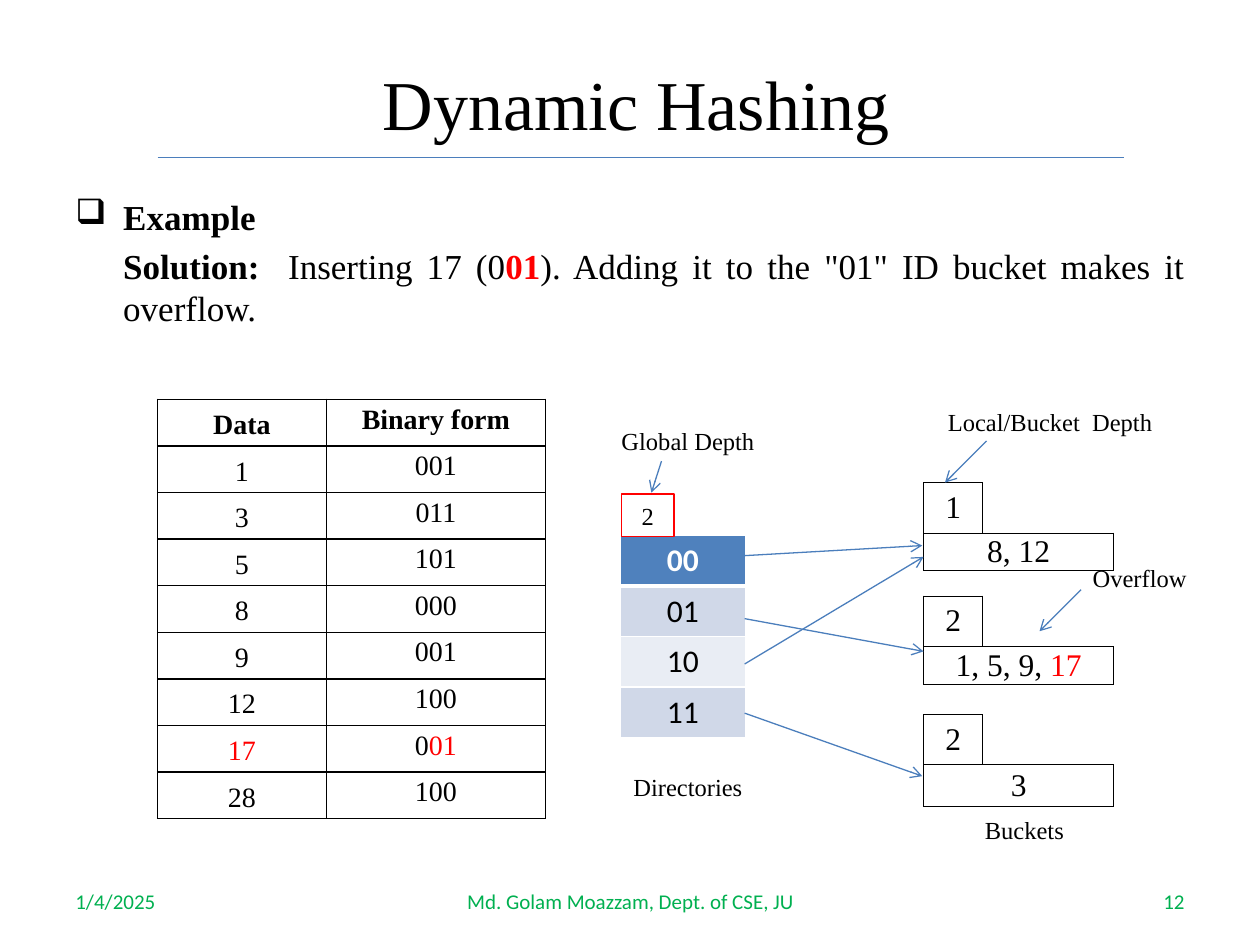
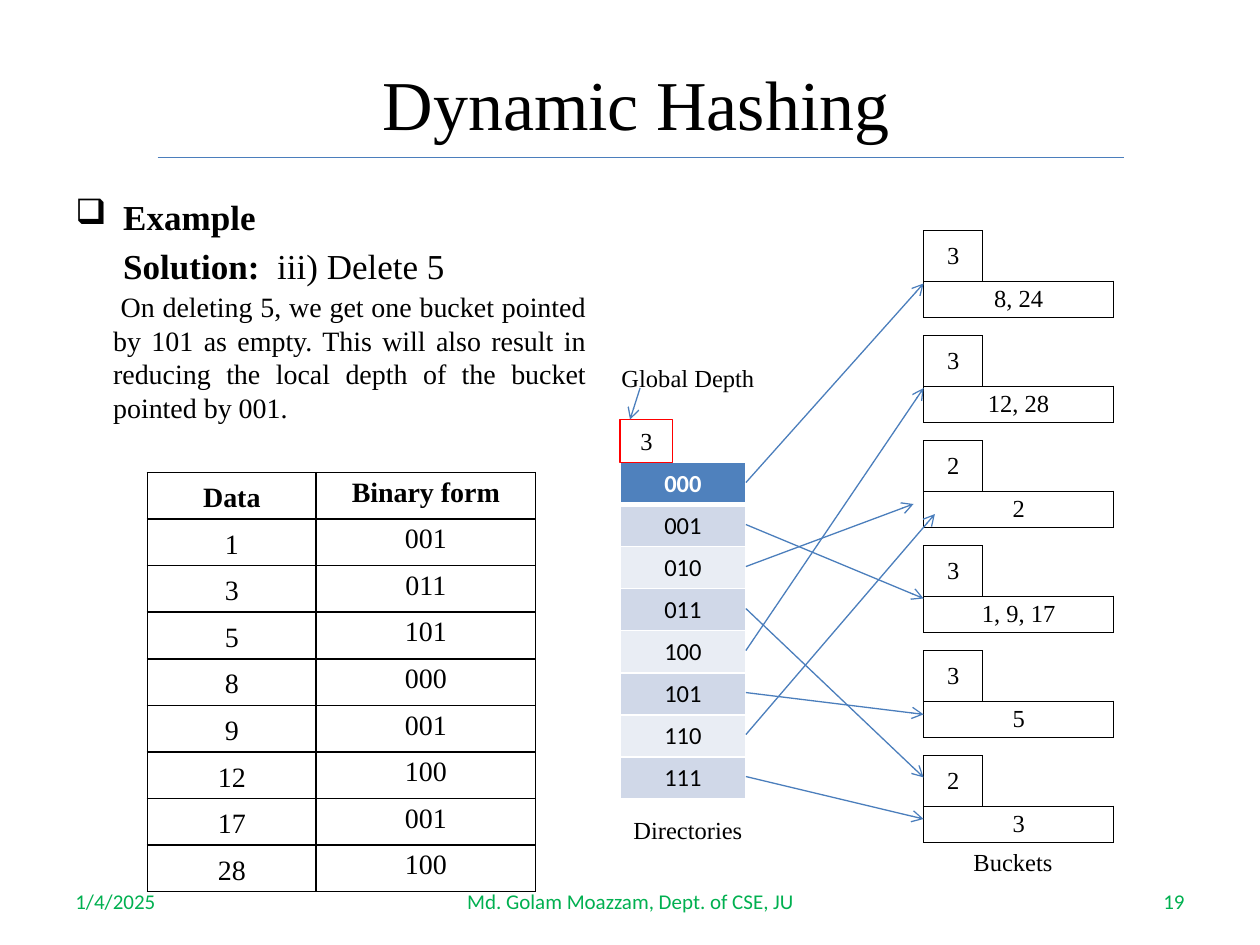
from lxml import etree
from pptx import Presentation
from pptx.dml.color import RGBColor
from pptx.enum.shapes import MSO_CONNECTOR, MSO_SHAPE
from pptx.enum.text import MSO_ANCHOR, PP_ALIGN
from pptx.oxml.ns import qn
from pptx.util import Inches, Pt

LEFT, MID, RIGHT, FULL = PP_ALIGN.LEFT, PP_ALIGN.CENTER, PP_ALIGN.RIGHT, PP_ALIGN.JUSTIFY
TOP, CENTRE = MSO_ANCHOR.TOP, MSO_ANCHOR.MIDDLE
STRAIGHT, RECT = MSO_CONNECTOR.STRAIGHT, MSO_SHAPE.RECTANGLE
TITLE_ONLY = 5
SERIF, SANS = "Times New Roman", "Calibri"
COLORS = {
    "black": "000000", "white": "FFFFFF", "red": "FF0000", "green": "00B050",
    "line": "4B7EBC", "head": "4F81BD", "odd": "D0D8E8", "even": "E9EDF4",
}
DATA = [
    ("Data", "Binary form"), ("1", "001"), ("3", "011"), ("5", "101"),
    ("8", "000"), ("9", "001"), ("12", "100"), ("17", "001"), ("28", "100"),
]


def rgb(name):
    return RGBColor.from_string(COLORS[name])


def edge(cell, **sides):
    """Draw cell sides L, R, T, B, each (colour, points) or None for no line."""
    props = cell._tc.get_or_add_tcPr()
    for side in "LRTB":
        look = sides.get(side)
        line = etree.SubElement(props, qn(f"a:ln{side}"))
        if look is None:
            etree.SubElement(line, qn("a:noFill"))
            continue
        line.set("w", str(Pt(look[1])))
        fill = etree.SubElement(line, qn("a:solidFill"))
        etree.SubElement(fill, qn("a:srgbClr")).set("val", COLORS[look[0]])


def indent(para, left, first=0, mark=None):
    props = para._p.get_or_add_pPr()
    props.set("marL", str(Inches(left)))
    props.set("indent", str(Inches(first)))
    if mark:
        etree.SubElement(props, qn("a:buChar")).set("char", mark)
    else:
        etree.SubElement(props, qn("a:buNone"))


class Deck:
    def __init__(self):
        self.prs = Presentation()
        self.prs.slide_width, self.prs.slide_height = Inches(10), Inches(7.5)
        self.slide = None

    def page(self, number):
        """Start a slide with the shared title, rule and footers."""
        self.slide = self.prs.slides.add_slide(self.prs.slide_layouts[TITLE_ONLY])
        title = self.slide.shapes.title
        title.left, title.top = Inches(1.33), Inches(0.38)
        title.width, title.height = Inches(7.58), Inches(0.87)
        frame = title.text_frame
        frame.margin_right = Inches(0.24)
        frame.vertical_anchor = CENTRE
        self.fill(frame.paragraphs[0], "Dynamic Hashing", 40)
        self.line((1.25, 1.25), (8.92, 1.25))
        for left, width, text, align in (
            (0.5, 2.33, "1/4/2025", LEFT),
            (3.42, 3.17, "Md. Golam Moazzam, Dept. of CSE, JU", MID),
            (7.17, 2.33, number, RIGHT),
        ):
            frame = self.box(left, 6.95, width, 0.4)
            frame.vertical_anchor = CENTRE
            self.fill(frame.paragraphs[0], text, 12, align, SANS, "green")

    def fill(self, para, parts, size, align=MID, font=SERIF, color="black", bold=False):
        """Fill a paragraph with a string or with (text, colour, bold) parts."""
        if isinstance(parts, str):
            parts = [(parts, color, bold)]
        para.alignment = align
        for text, tint, thick in parts:
            run = para.add_run()
            run.text = text
            run.font.size, run.font.name = Pt(size), font
            run.font.bold = thick
            run.font.color.rgb = rgb(tint)

    def box(self, left, top, width, height):
        area = [Inches(n) for n in (left, top, width, height)]
        frame = self.slide.shapes.add_textbox(*area).text_frame
        frame.word_wrap = True
        return frame

    def label(self, left, top, text, width=1.42):
        self.fill(self.box(left, top, width, 0.34).paragraphs[0], text, 14)

    def line(self, start, end, arrow=False):
        ends = [Inches(n) for n in (*start, *end)]
        link = self.slide.shapes.add_connector(STRAIGHT, *ends)
        link.line.color.rgb = rgb("line")
        link.line.width = Pt(0.75)
        if arrow:
            tail = etree.SubElement(link.line._get_or_add_ln(), qn("a:tailEnd"))
            tail.set("type", "arrow")
        etree.SubElement(link._element.spPr, qn("a:effectLst"))

    def arrows(self, pairs):
        for start, end in pairs:
            self.line(start, end, arrow=True)

    def depth(self, left, top, text):
        """Draw the global depth box."""
        area = [Inches(n) for n in (left, top, 0.42, 0.34)]
        rect = self.slide.shapes.add_shape(RECT, *area)
        rect.shadow.inherit = False
        rect.fill.background()
        rect.line.color.rgb = rgb("red")
        rect.line.width = Pt(0.75)
        rect.text_frame.vertical_anchor = CENTRE
        self.fill(rect.text_frame.paragraphs[0], text, 14)

    def grid(self, left, top, cols, rows, high):
        """Add a plain table with the given column widths and equal rows."""
        area = [Inches(n) for n in (left, top, sum(cols), rows * high)]
        table = self.slide.shapes.add_table(rows, len(cols), *area).table
        table.first_row = table.horz_banding = False
        for col, width in zip(table.columns, cols):
            col.width = Inches(width)
        for row in table.rows:
            row.height = Inches(high)
        return table

    def cell(self, cell, parts, size, inset=0.0, anchor=CENTRE, **look):
        cell.margin_left = cell.margin_right = Inches(inset)
        cell.margin_top = cell.margin_bottom = 0
        cell.vertical_anchor = anchor
        self.fill(cell.text_frame.paragraphs[0], parts, size, **look)

    def data(self, left, top, marked=None):
        """Add the table of keys; the row of the marked key turns red."""
        table = self.grid(left, top, (1.34, 1.74), len(DATA), 0.37)
        side = ("black", 1)
        for i, (key, code) in enumerate(DATA):
            tint = "black"
            if key == marked:
                tint = "red"
                code = [(code[0], "black", False), (code[1:], "red", False)]
            for j, (text, anchor) in enumerate(((key, CENTRE), (code, TOP))):
                cell = table.cell(i, j)
                edge(cell, L=side, R=side, T=side, B=side)
                cell.fill.background()
                self.cell(cell, text, 16, 0.07, anchor, color=tint, bold=i == 0)
                cell.text_frame.paragraphs[0].line_spacing = 1.15

    def index(self, top, bits, high, size):
        """Add the directory of all codes with this many bits."""
        count = 2 ** bits
        table = self.grid(4.92, top, (1,), count, high)
        thin, thick = ("white", 1), ("white", 3)
        for i in range(count):
            cell = table.cell(i, 0)
            edge(cell, L=thin, R=thin, T=thick if i == 1 else thin,
                 B=thick if i == 0 else thin)
            cell.fill.solid()
            cell.fill.fore_color.rgb = rgb("head" if i == 0 else "odd" if i % 2 else "even")
            self.cell(cell, f"{i:0{bits}b}", size, 0.1, TOP, font=SANS,
                      color="black" if i else "white", bold=i == 0)
            cell.margin_top = cell.margin_bottom = Inches(0.05)

    def bucket(self, top, depth, keys, size, high=0.29):
        table = self.grid(7.33, top, (0.47, 0.52, 0.52), 2, high)
        side = ("black", 0.5)
        for j in range(3):
            tab, body = table.cell(0, j), table.cell(1, j)
            if j == 0:
                edge(tab, L=side, R=side, T=side, B=side)
            else:
                edge(tab, L=side if j == 1 else None, B=side)
            edge(body, L=side, R=side, T=side, B=side)
            tab.fill.background()
            body.fill.background()
        table.cell(1, 0).merge(table.cell(1, 2))
        self.cell(table.cell(0, 0), depth, size)
        self.cell(table.cell(1, 0), keys, size)

    def lead(self, parts):
        """Write the example heading and the solution line."""
        frame = self.box(0.5, 1.5, 9, 4.95)
        head, body = frame.paragraphs[0], frame.add_paragraph()
        indent(head, 0.38, -0.38, "❑")
        self.fill(head, "Example", 20, FULL, bold=True)
        indent(body, 0.38)
        body.space_before = Pt(4)
        self.fill(body, [("Solution:  ", "black", True), *parts], 20, FULL)

    def note(self, text):
        para = self.box(0.42, 2.25, 4.33, 1.67).paragraphs[0]
        indent(para, 0.38, 0.06)
        self.fill(para, text, 16, FULL)


def insert(deck):
    deck.page("12")
    deck.lead([
        ("Inserting 17 (0", "black", False), ("01", "red", True),
        ('). Adding it to the "01" ID bucket makes it overflow.', "black", False),
    ])
    deck.data(1.25, 3.17, "17")
    deck.index(4.25, 2, 0.4, 18)
    deck.depth(4.93, 3.92, "2")
    deck.bucket(3.83, "1", "8, 12", 18)
    deck.bucket(4.73, "2", [("1, 5, 9, ", "black", False), ("17", "red", False)], 18, 0.3)
    deck.bucket(5.67, "2", "3", 18, 0.33)
    deck.label(4.75, 3.33, "Global Depth")
    deck.label(4.75, 6.08, "Directories")
    deck.label(7.42, 6.42, "Buckets")
    deck.label(7.42, 3.18, "Local/Bucket  Depth", 1.83)
    deck.label(8.42, 4.42, "Overflow", 1.25)
    deck.arrows([
        ((7.83, 3.5), (7.5, 3.83)), ((5.25, 3.66), (5.17, 3.91)),
        ((8.58, 4.68), (8.25, 5.01)), ((5.91, 4.41), (7.32, 4.33)),
        ((5.91, 4.91), (7.33, 5.17)), ((5.91, 5.27), (7.33, 4.42)),
        ((5.91, 5.66), (7.32, 6.16)),
    ])


def delete(deck):
    deck.page("19")
    deck.lead([("iii) Delete 5", "black", False)])
    deck.note("On deleting 5, we get one bucket pointed by 101 as empty. This will also "
              "result in reducing the local depth of the bucket pointed by 001.")
    deck.data(1.17, 3.75)
    deck.index(3.67, 3, 0.33, 14)
    deck.depth(4.92, 3.33, "3")
    buckets = [("3", "8, 24"), ("3", "12, 28"), ("2", "2"),
               ("3", "1, 9, 17"), ("3", "5"), ("2", "3")]
    for i, (depth, keys) in enumerate(buckets):
        deck.bucket(1.83 + i * 2.5 / 3, depth, keys, 14)
    deck.label(4.75, 2.83, "Global Depth")
    deck.label(4.75, 6.42, "Directories")
    deck.label(7.33, 6.67, "Buckets")
    ends = [(7.33, 2.25), (7.33, 4.75), (7.25, 4), (7.33, 6.17),
            (7.33, 3.08), (7.33, 5.67), (7.42, 4.08), (7.33, 6.5)]
    deck.arrows([((5.08, 3.08), (5, 3.33))])
    deck.arrows([((5.92, 3.83 + i / 3), end) for i, end in enumerate(ends)])


def main():
    deck = Deck()
    insert(deck)
    delete(deck)
    deck.prs.save("out.pptx")


if __name__ == "__main__":
    main()
